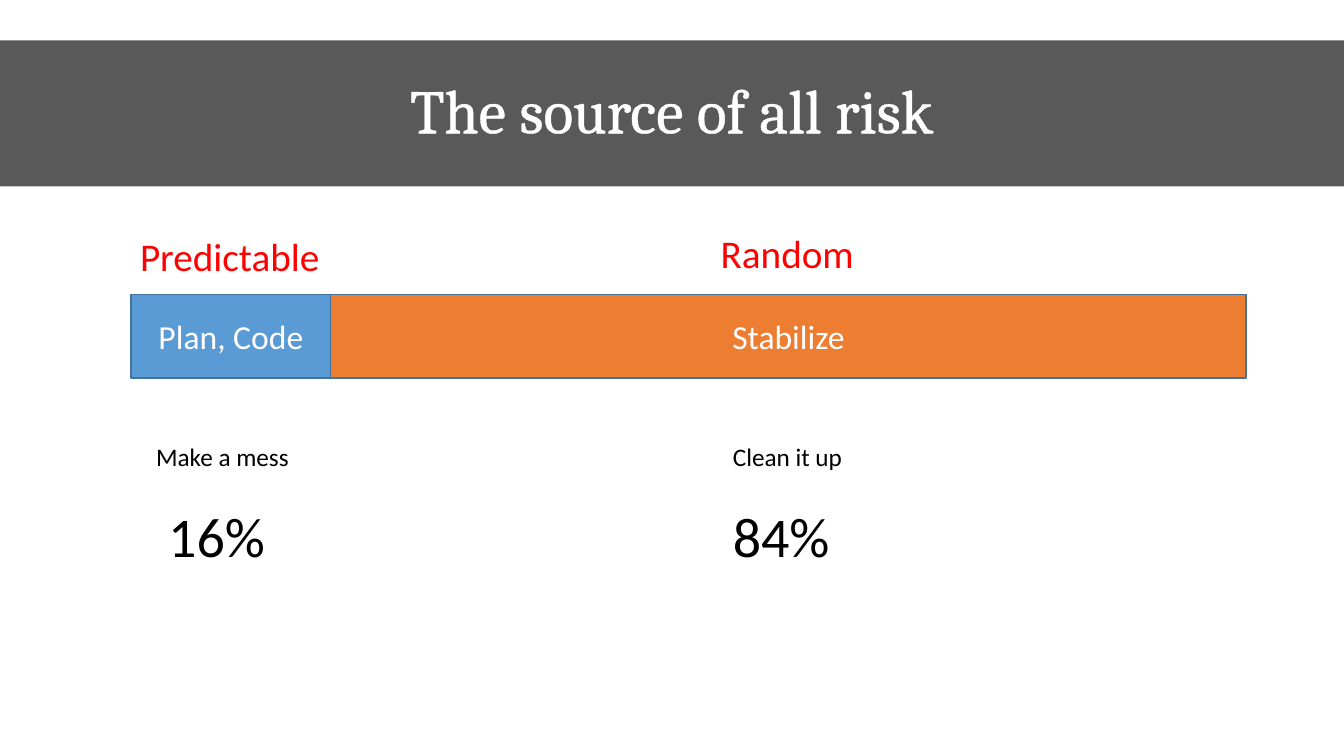
"""Build the slide "The source of all risk" with a two-part bar and its labels."""
from lxml import etree
from pptx import Presentation
from pptx.dml.color import RGBColor
from pptx.enum.shapes import MSO_SHAPE
from pptx.enum.text import MSO_ANCHOR, MSO_AUTO_SIZE, PP_ALIGN
from pptx.oxml.ns import qn
from pptx.util import Inches, Pt

RECT = MSO_SHAPE.RECTANGLE
MIDDLE = MSO_ANCHOR.MIDDLE
CENTER = PP_ALIGN.CENTER
GROW = MSO_AUTO_SIZE.SHAPE_TO_FIT_TEXT
W, H = 13.33, 7.5
BAR_LEFT, BAR_TOP, BAR_HEIGHT = 1.3, 2.92, 0.83
MESS_TOP, SHARE_TOP = 4.33, 4.93
RIGHT_COL = 7.17
COLORS = {
    "black": "000000",
    "white": "FFFFFF",
    "red": "FF0000",
    "blue": "5B9BD5",
    "orange": "ED7D31",
    "edge": "43739E",
}


def rgb(name):
    return RGBColor.from_string(COLORS[name])


def write(tf, text, size, color, font="Calibri", align=None):
    tf.text = text
    p = tf.paragraphs[0]
    p.alignment = align
    p.font.name = font
    p.font.size = Pt(size)
    p.font.color.rgb = rgb(color)
    return p


prs = Presentation()
prs.slide_width, prs.slide_height = Inches(W), Inches(H)
s = prs.slides.add_slide(prs.slide_layouts[5])

title = s.shapes.title
title.left, title.top = Inches(0), Inches(0.4)
title.width, title.height = Inches(W), Inches(1.45)
title.fill.solid()
title.fill.fore_color.rgb = rgb("black")
black = title.fill._xPr.find(qn("a:solidFill"))[0]
etree.SubElement(black, qn("a:alpha"), val="65000")
tf = title.text_frame
tf.vertical_anchor = MIDDLE
p = write(tf, "The source of all risk", 44, "white", "Cambria", CENTER)
p.line_spacing = 0.9
rPr = p.runs[0]._r.get_or_add_rPr()
ln = etree.SubElement(rPr, qn("a:ln"), w=str(Pt(0.75)))
outline = etree.SubElement(ln, qn("a:solidFill"))
etree.SubElement(outline, qn("a:srgbClr"), val=COLORS["white"])

x = BAR_LEFT
for text, width, color in [("Plan, Code", 1.98, "blue"), ("Stabilize", 9.08, "orange")]:
    sp = s.shapes.add_shape(RECT, Inches(x), Inches(BAR_TOP), Inches(width), Inches(BAR_HEIGHT))
    sp.shadow.inherit = False
    sp.fill.solid()
    sp.fill.fore_color.rgb = rgb(color)
    sp.line.color.rgb = rgb("edge")
    sp.line.width = Pt(1)
    sp.text_frame.vertical_anchor = MIDDLE
    write(sp.text_frame, text, 24, "white", align=CENTER)
    x += width

labels = [
    ("Make a mess", 1.45, MESS_TOP, 1.57, 0.4, 18, "black", False),
    ("Clean it up", RIGHT_COL, MESS_TOP, 1.32, 0.4, 18, "black", False),
    ("16%", 1.57, SHARE_TOP, 1.3, 0.77, 40, "black", True),
    ("84%", RIGHT_COL, SHARE_TOP, 1.3, 0.77, 40, "black", True),
    ("Predictable", 1.29, 2.26, 2.08, 0.57, 28, "red", False),
    ("Random", 7.05, 2.23, 1.6, 0.57, 28, "red", False),
]
for text, left, top, width, height, size, color, wrap in labels:
    sp = s.shapes.add_textbox(Inches(left), Inches(top), Inches(width), Inches(height))
    tf = sp.text_frame
    tf.word_wrap = wrap
    tf.auto_size = GROW
    write(tf, text, size, color)

prs.save("out.pptx")
